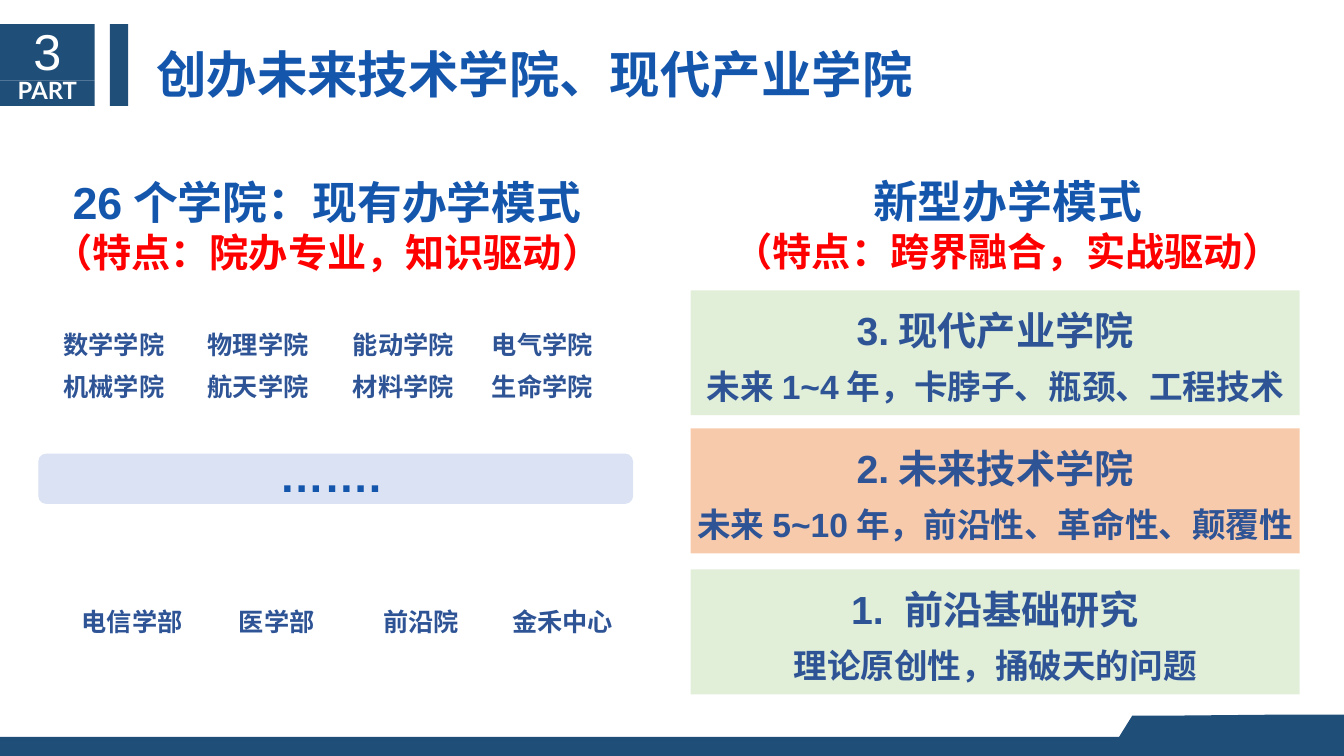
from lxml.etree import SubElement
from pptx import Presentation
from pptx.dml.color import RGBColor
from pptx.enum.shapes import MSO_SHAPE
from pptx.enum.text import MSO_ANCHOR, PP_ALIGN
from pptx.oxml.ns import qn
from pptx.util import Inches, Pt

LATIN = "Arial"
CHINESE = "Noto Sans CJK SC"
NAVY, BLUE, INDIGO = "1F4E79", "1556AD", "2E5496"
RED, WHITE = "FF0000", "FFFFFF"
GREEN, ORANGE, PALE_BLUE = "E1EFD9", "F8CAAC", "DAE2F3"


def rgb(value):
    return RGBColor.from_string(value)


def paint(shape, fill):
    shape.shadow.inherit = False
    shape.fill.solid()
    shape.fill.fore_color.rgb = rgb(fill)
    shape.line.fill.background()
    return shape


def add_block(slide, left, top, width, height, fill, preset=MSO_SHAPE.RECTANGLE):
    block = slide.shapes.add_shape(
        preset, Inches(left), Inches(top), Inches(width), Inches(height))
    return paint(block, fill)


def set_frame(shape, inset_top=0.0):
    frame = shape.text_frame
    frame.word_wrap = True
    frame.vertical_anchor = MSO_ANCHOR.TOP
    frame.margin_left = frame.margin_right = frame.margin_bottom = 0
    frame.margin_top = Inches(inset_top)
    return frame


def add_box(slide, left, top, width, height, inset_top=0.01):
    box = slide.shapes.add_textbox(
        Inches(left), Inches(top), Inches(width), Inches(height))
    return set_frame(box, inset_top)


def write_line(frame, runs, size, color, height, bold=True, font=None,
               align=PP_ALIGN.CENTER, before=0):
    """Write one paragraph; height is its line pitch in points.

    Without a font, plain Latin runs get LATIN and the others CHINESE.
    """
    paragraph = frame.paragraphs[0]
    if paragraph.runs:
        paragraph = frame.add_paragraph()
    paragraph.alignment = align
    paragraph.line_spacing = Pt(height)
    if before:
        paragraph.space_before = Pt(before)
    for text in runs:
        run = paragraph.add_run()
        run.text = text
        run.font.size = Pt(size)
        run.font.bold = bold
        run.font.color.rgb = rgb(color)
        run.font.name = font or (LATIN if text.isascii() else CHINESE)
        east_asian = SubElement(run.font._element, qn("a:ea"))
        east_asian.set("typeface", font or CHINESE)
    return paragraph


def add_tab(paragraph, position):
    tabs = SubElement(paragraph._p.get_or_add_pPr(), qn("a:tabLst"))
    SubElement(tabs, qn("a:tab"), pos=str(Inches(position)), algn="l")


def add_header(slide):
    part = set_frame(add_block(slide, 0, 0.8, 0.94, 0.25, NAVY))
    write_line(part, ["PART"], 17, WHITE, 17.1, font="Lato")
    number = set_frame(add_block(slide, 0, 0.24, 0.94, 0.56, NAVY))
    write_line(number, ["3"], 36, WHITE, 40.5, bold=False)
    add_block(slide, 1.09, 0.24, 0.18, 0.81, NAVY)
    title = add_box(slide, 1.55, 0.36, 7.56, 0.63)
    write_line(title, ["创办未来技术学院、现代产业学院"], 36, BLUE, 47.4,
               align=PP_ALIGN.LEFT)


def add_footer(slide):
    outline = [(13.33, 7.09), (12.61, 7.09), (11.56, 7.1), (11.23, 7.1),
               (11.1, 7.31), (0, 7.31), (0, 7.5), (13.33, 7.5)]
    points = [(Inches(x), Inches(y)) for x, y in outline]
    builder = slide.shapes.build_freeform(*points[0], scale=1.0)
    builder.add_line_segments(points[1:], close=True)
    paint(builder.convert_to_shape(), NAVY)


def add_mode_heading(slide, left, top, mode, feature):
    heading = add_box(slide, left, top, 5.49, 1.05)
    write_line(heading, mode, 32, BLUE, 42.5)
    write_line(heading, [feature], 28, RED, 33)


def add_card(slide, top, fill, name, scope):
    card = set_frame(add_block(slide, 6.85, top, 6.04, 1.24, fill), 0.12)
    write_line(card, name, 28, INDIGO, 36.3)
    write_line(card, scope, 24, INDIGO, 28.6, before=9.4)


def add_schools(slide, left, top, width, height, names, pitch, inset_top=0.01):
    schools = add_box(slide, left, top, width, height, inset_top)
    return write_line(schools, names, 18, INDIGO, pitch, align=PP_ALIGN.LEFT)


def add_existing_schools(slide):
    columns = [(0.63, "数学学院 机械学院"), (2.06, "物理学院 航天学院"),
               (3.5, "能动学院 材料学院"), (4.88, "电气学院 生命学院")]
    for left, names in columns:
        add_schools(slide, left, 3.11, 1.04, 0.88, [names], 30, 0.04)

    band = add_block(slide, 0.38, 4.5, 5.9, 0.5, PALE_BLUE,
                     MSO_SHAPE.ROUNDED_RECTANGLE)
    band.adjustments[0] = 0.16
    ellipsis = add_box(slide, 2.77, 4.41, 1.04, 0.56)
    write_line(ellipsis, ["……."], 32, BLUE, 39.9, font=LATIN,
               align=PP_ALIGN.LEFT)

    add_schools(slide, 0.81, 5.98, 1.03, 0.33, ["电信学部"], 23.6)
    add_schools(slide, 2.37, 5.98, 0.78, 0.33, ["医学部"], 23.6)
    centers = add_schools(slide, 3.8, 5.98, 2.29, 0.33,
                          ["前沿院\t", "金禾中心"], 23.6)
    add_tab(centers, 1.28)


def main():
    deck = Presentation()
    deck.slide_width, deck.slide_height = Inches(13.33), Inches(7.5)
    slide = deck.slides.add_slide(deck.slide_layouts[6])
    add_header(slide)
    add_footer(slide)
    add_mode_heading(slide, 0.5, 1.67, ["26", "个学院：现有办学模式"],
                     "（特点：院办专业，知识驱动）")
    add_mode_heading(slide, 7.25, 1.66, ["新型办学模式"],
                     "（特点：跨界融合，实战驱动）")
    add_existing_schools(slide)
    add_card(slide, 2.88, GREEN, ["3.", "现代产业学院"],
             ["未来", "1~4", "年，卡脖子、瓶颈、工程技术"])
    add_card(slide, 4.25, ORANGE, ["2.", "未来技术学院"],
             ["未来", "5~10", "年，前沿性、革命性、颠覆性"])
    add_card(slide, 5.65, GREEN, ["1. ", "前沿基础研究"],
             ["理论原创性，捅破天的问题"])
    deck.save("out.pptx")


if __name__ == "__main__":
    main()
